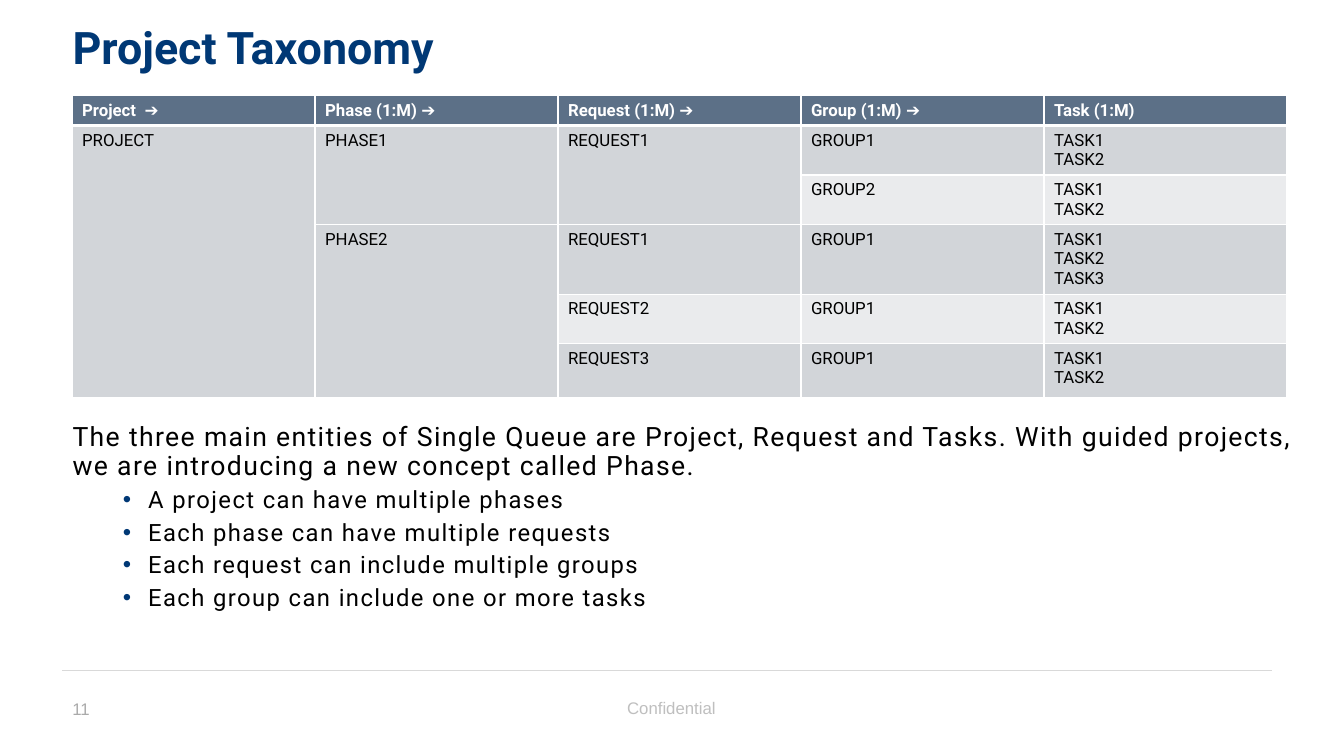
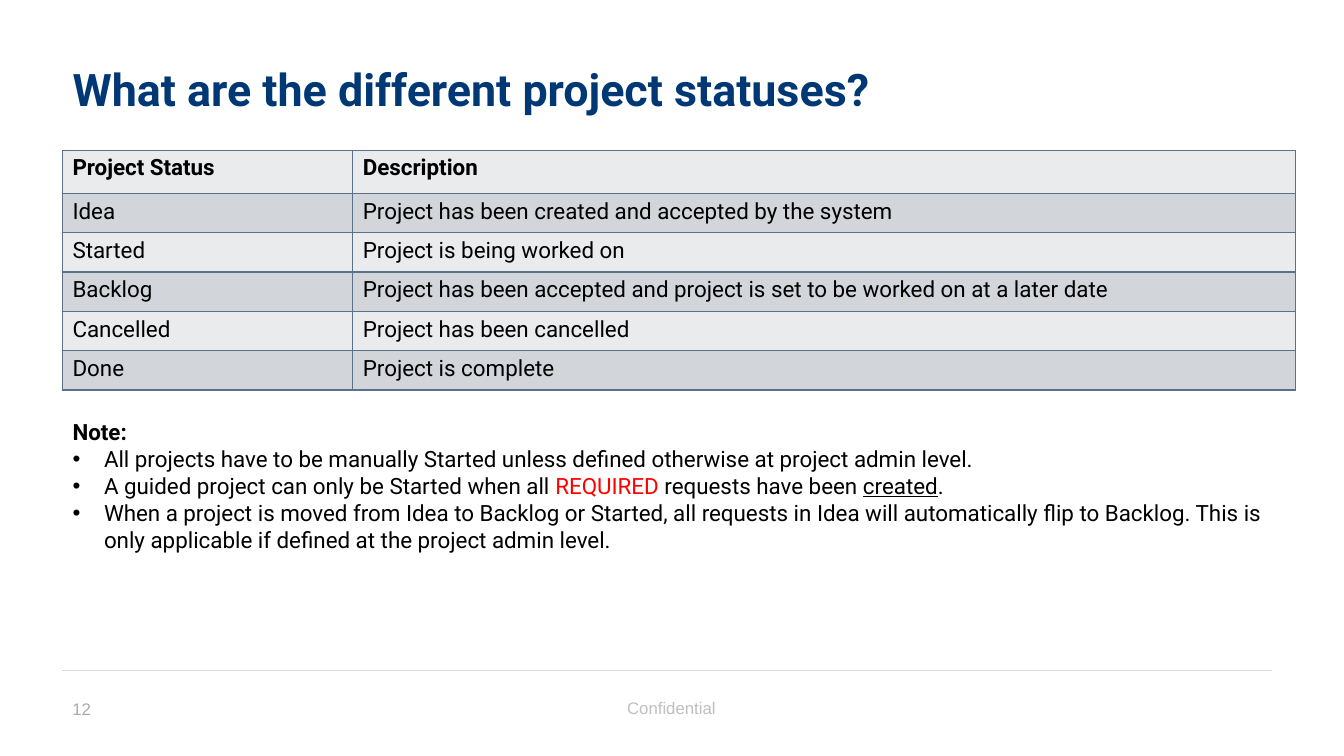
from pptx import Presentation
from pptx import util as u
from pptx.dml.color import RGBColor
from pptx.enum import shapes, text
from pptx.oxml import ns
from lxml import etree

COLORS = {
    "title": "003875", "ink": "000000", "white": "FFFFFF", "alert": "FF0000",
    "slate": "5C7087", "band": "D2D5D9", "pale": "EAEBED",
    "rule": "D9D9D9", "footer": "BFBFBF", "number": "AAAAAA",
}
WIDTH, HEIGHT = u.Inches(13.33), u.Inches(7.5)
MARGIN, CONTENT = 4.65, 90
BODY_FONT, FOOTER_FONT = "Roboto", "Arial"


def columns(count):
    return u.Emu(round(WIDTH * count / 100))


def rows(count):
    return u.Emu(round(HEIGHT * count / 100))


def area(left, top, width, height):
    return columns(left), rows(top), columns(width), rows(height)


def color(name):
    return RGBColor.from_string(COLORS[name])


def element(parent, tag, **attributes):
    return etree.SubElement(parent, ns.qn(tag), attributes)


def write(paragraph, content, size=16, font=BODY_FONT, ink="ink", bold=False,
          underline=False, tracking=0):
    run = paragraph.add_run()
    run.text = content
    run.font.name = font
    run.font.size = u.Pt(size)
    run.font.bold = bold
    run.font.underline = underline
    run.font.color.rgb = color(ink)
    if tracking:
        run.font._element.set("spc", str(tracking * 100))


def set_bullet(paragraph, margin=0, hanging=0, ink=None):
    properties = paragraph._p.get_or_add_pPr()
    properties.set("marL", str(columns(margin)))
    properties.set("indent", str(-columns(hanging)))
    if not hanging:
        element(properties, "a:buNone")
        return
    if ink:
        element(element(properties, "a:buClr"), "a:srgbClr", val=COLORS[ink])
    element(properties, "a:buFont", typeface="Arial")
    element(properties, "a:buChar", char="•")


def next_paragraph(frame, line=1.0, before=0):
    first = frame.paragraphs[0]
    paragraph = frame.add_paragraph() if first.runs else first
    paragraph.line_spacing = line
    paragraph.space_before = u.Pt(before)
    return paragraph


def place(shape, bounds, anchor=text.MSO_ANCHOR.TOP, wrap=True):
    shape.left, shape.top, shape.width, shape.height = bounds
    frame = shape.text_frame
    frame.auto_size = text.MSO_AUTO_SIZE.NONE
    frame.word_wrap = wrap
    frame.vertical_anchor = anchor
    return frame


def add_footer(slide, number):
    rule = slide.shapes.add_connector(
        shapes.MSO_CONNECTOR.STRAIGHT, columns(MARGIN), rows(88.67),
        columns(MARGIN + CONTENT), rows(88.67))
    rule.line.color.rgb = color("rule")
    rule.line.width = u.Pt(1)
    element(rule._element.spPr, "a:effectLst")

    bounds = area(MARGIN, 91.73, 3.08, 4)
    frame = place(slide.shapes.add_textbox(*bounds), bounds, wrap=False)
    write(frame.paragraphs[0], str(number), size=12, font=FOOTER_FONT, ink="number")

    bounds = area(44.71, 91.53, 10.5, 4.13)
    frame = place(slide.shapes.add_textbox(*bounds), bounds, text.MSO_ANCHOR.MIDDLE)
    frame.paragraphs[0].alignment = text.PP_ALIGN.CENTER
    write(frame.paragraphs[0], "Confidential", size=12, font=FOOTER_FONT, ink="footer")


def add_slide(presentation, number, title, title_top):
    slide = presentation.slides.add_slide(presentation.slide_layouts[1])
    frame = place(slide.shapes.title, area(MARGIN, title_top, CONTENT, 10.93))
    paragraph = next_paragraph(frame, line=0.9)
    paragraph.alignment = text.PP_ALIGN.LEFT
    write(paragraph, title, size=32, ink="title", bold=True)
    add_footer(slide, number)
    return slide


def set_borders(cell, ink, top=1, bottom=1):
    properties = cell._tc.get_or_add_tcPr()
    sides = {"a:lnL": 1, "a:lnR": 1, "a:lnT": top, "a:lnB": bottom}
    for position, (tag, width) in enumerate(sides.items()):
        border = etree.Element(ns.qn(tag), w=str(u.Pt(width)))
        element(element(border, "a:solidFill"), "a:srgbClr", val=COLORS[ink])
        properties.insert(position, border)


def merge_gaps(table, data):
    for column in range(len(data[0])):
        filled = [row for row, values in enumerate(data) if values[column]]
        for start, after in zip(filled, filled[1:] + [len(data)]):
            if after - start > 1:
                table.cell(start, column).merge(table.cell(after - 1, column))


def add_table(slide, left, top, widths, heights, data, size, border,
              header_fill, header_ink, header_rule=1):
    bounds = area(left, top, sum(widths), sum(heights))
    table = slide.shapes.add_table(len(heights), len(widths), *bounds).table
    table.first_row = table.horz_banding = False
    for column, width in zip(table.columns, widths):
        column.width = columns(width)
    for row, height in zip(table.rows, heights):
        row.height = rows(height)
    for index, values in enumerate(data):
        header = index == 0
        fill = header_fill if header else "band" if index % 2 else "pale"
        for column, value in enumerate(values):
            cell = table.cell(index, column)
            cell.fill.solid()
            cell.fill.fore_color.rgb = color(fill)
            set_borders(cell, border, top=header_rule if index == 1 else 1,
                        bottom=header_rule if header else 1)
            for line in value.splitlines():
                write(next_paragraph(cell.text_frame), line, size=size,
                      ink=header_ink if header else "ink", bold=header)
    merge_gaps(table, data)


def build_taxonomy(presentation):
    slide = add_slide(presentation, 11, "Project Taxonomy", 2.8)
    pair = "TASK1\nTASK2"
    data = [
        ["Project  ➔", "Phase (1:M) ➔", "Request (1:M) ➔", "Group (1:M) ➔", "Task (1:M)"],
        ["PROJECT", "PHASE1", "REQUEST1", "GROUP1", pair],
        ["", "", "", "GROUP2", pair],
        ["", "PHASE2", "REQUEST1", "GROUP1", pair + "\nTASK3"],
        ["", "", "REQUEST2", "GROUP1", pair],
        ["", "", "REQUEST3", "GROUP1", pair],
    ]
    add_table(slide, 5.36, 12.67, [18.08] * 5, [3.87, 6.53, 6.53, 9.2, 6.53, 7.2],
              data, size=12, border="white", header_fill="slate",
              header_ink="white", header_rule=3)

    frame = place(slide.placeholders[1], area(MARGIN, 55.33, 92.87, 32.53))
    paragraph = next_paragraph(frame, line=0.9)
    set_bullet(paragraph)
    write(paragraph, "The three main entities of Single Queue are Project, Request and "
          "Tasks. With guided projects, we are introducing a new concept called Phase.",
          size=19, tracking=1)
    for item in ("A project can have multiple phases",
                 "Each phase can have multiple requests",
                 "Each request can include multiple groups",
                 "Each group can include one or more tasks"):
        paragraph = next_paragraph(frame, line=0.9, before=5)
        paragraph.level = 1
        set_bullet(paragraph, margin=5.63, hanging=1.88, ink="title")
        write(paragraph, item, size=17, tracking=1)


def build_statuses(presentation):
    slide = add_slide(presentation, 12, "What are the different project statuses?", 8.27)
    data = [
        ["Project Status", "Description"],
        ["Idea", "Project has been created and accepted by the system"],
        ["Started", "Project is being worked on"],
        ["Backlog", "Project has been accepted and project is set to be worked on at a later date"],
        ["Cancelled", "Project has been cancelled"],
        ["Done", "Project is complete"],
    ]
    add_table(slide, MARGIN, 19.87, [21.6, 70.14], [5.73] + [5.2] * 5, data, size=16,
              border="slate", header_fill="pale", header_ink="ink")

    frame = place(slide.placeholders[1], area(MARGIN, 54.67, 91.74, 19.33))
    paragraph = next_paragraph(frame)
    set_bullet(paragraph)
    write(paragraph, "Note:", bold=True)
    notes = [
        [("All projects have to be manually Started unless defined otherwise at "
          "project admin level.", {})],
        [("A guided project can only be Started when all ", {}),
         ("REQUIRED", {"ink": "alert"}),
         (" requests have been ", {}),
         ("created", {"underline": True}),
         (".", {})],
        [("When a project is moved from Idea to Backlog or Started, all requests in "
          "Idea will automatically flip to Backlog. This is only applicable if "
          "defined at the project admin level.", {})],
    ]
    for runs in notes:
        paragraph = next_paragraph(frame)
        set_bullet(paragraph, margin=2.34, hanging=2.34)
        for content, style in runs:
            write(paragraph, content, **style)


def main():
    presentation = Presentation()
    presentation.slide_width, presentation.slide_height = WIDTH, HEIGHT
    build_taxonomy(presentation)
    build_statuses(presentation)
    presentation.save("out.pptx")


if __name__ == "__main__":
    main()
